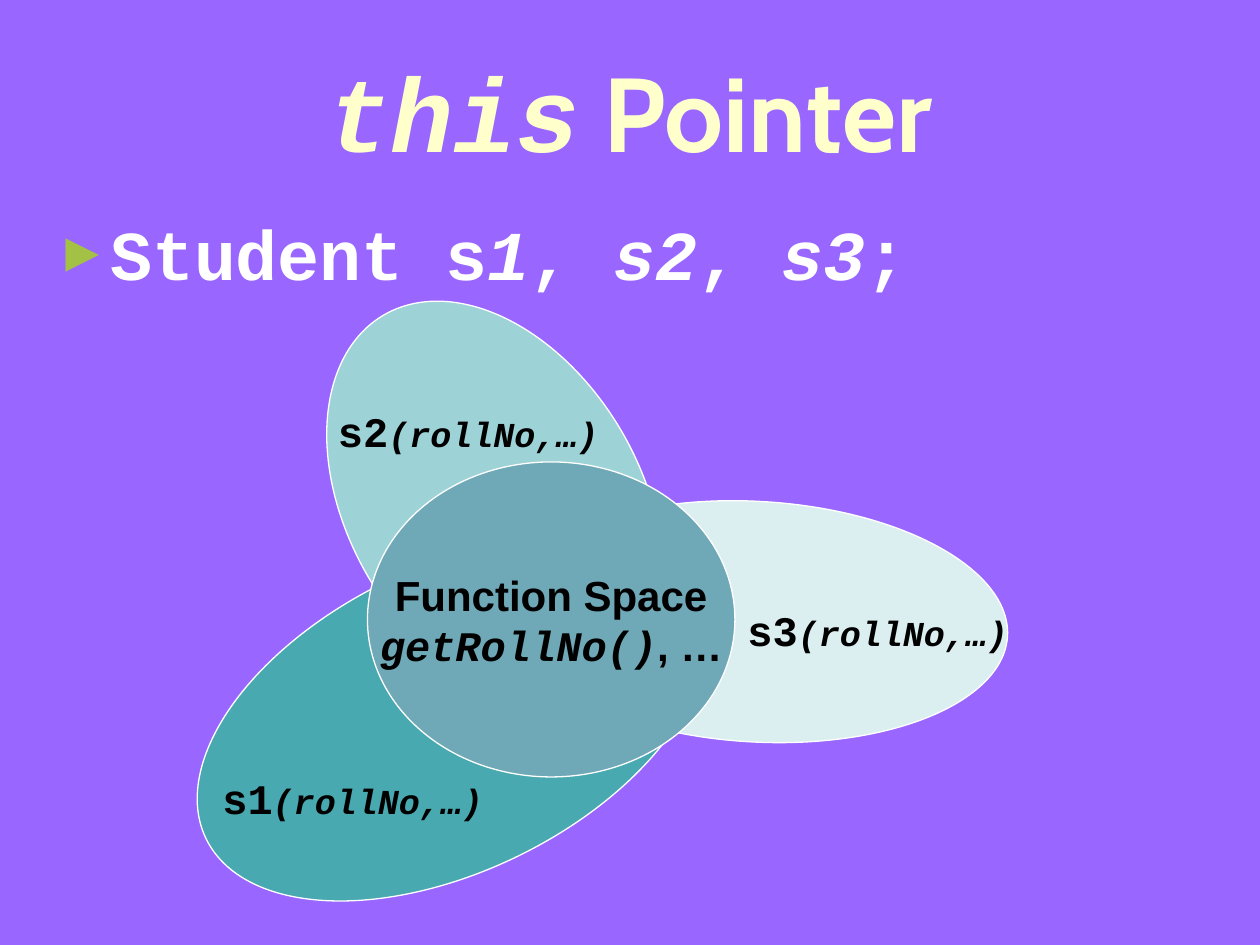
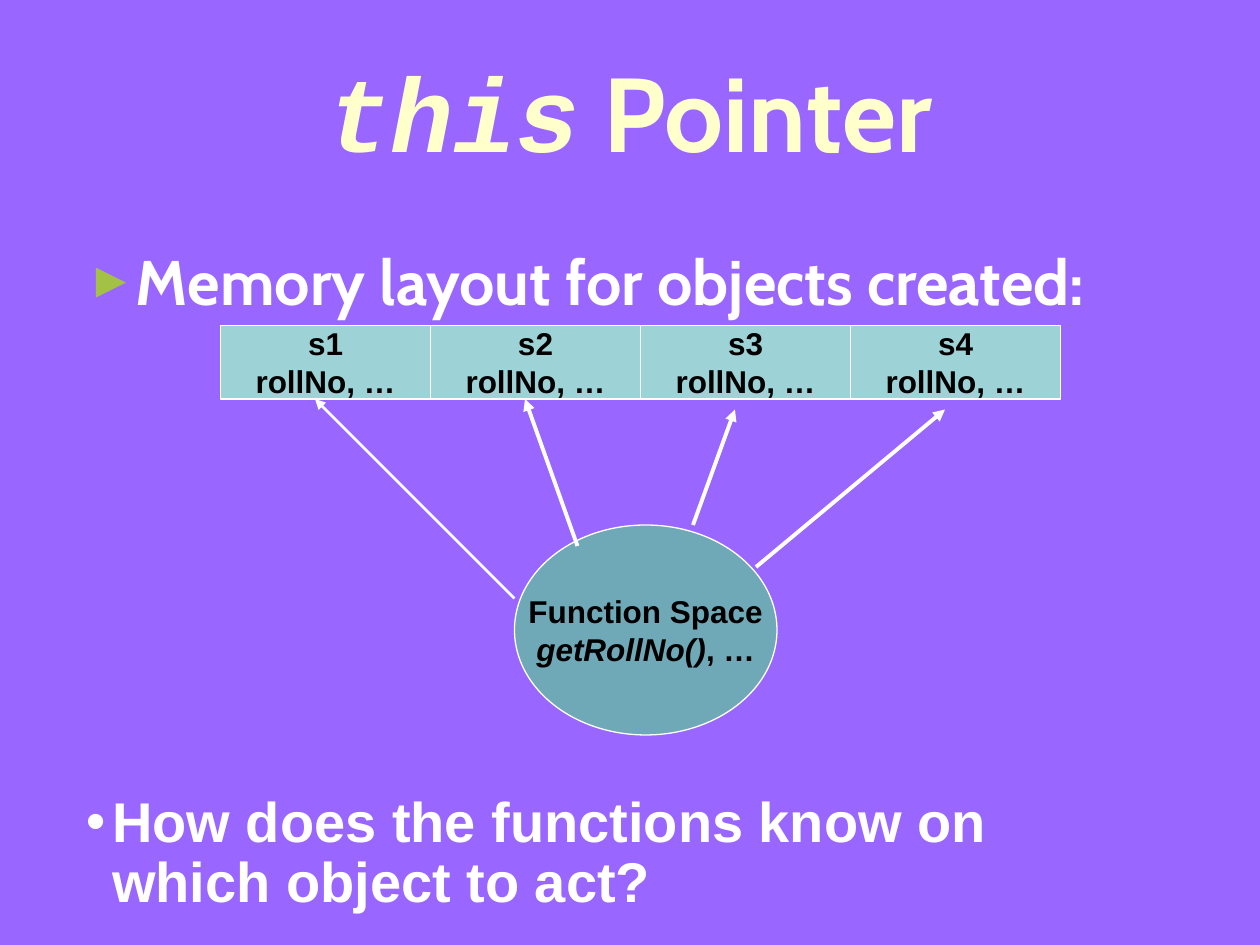
import dataclasses

import lxml.etree
import pptx
import pptx.dml.color
import pptx.enum.shapes
import pptx.enum.text
import pptx.oxml.ns
import pptx.util

Pt = pptx.util.Pt
qn = pptx.oxml.ns.qn
RGBColor = pptx.dml.color.RGBColor
Shapes = pptx.enum.shapes.MSO_SHAPE
Align = pptx.enum.text.PP_ALIGN
Anchor = pptx.enum.text.MSO_ANCHOR


@dataclasses.dataclass(frozen=True)
class Theme:
    # Colours
    background: str = "9966FF"
    title: str = "FFFFCC"
    light: str = "FFFFFF"
    dark: str = "000000"
    bullet: str = "A3C145"
    function_space: str = "6FA9B7"
    s1: str = "48A9B0"
    s2: str = "9DD3D7"
    s3: str = "DCEFF0"
    # Fonts
    display: str = "Cabin"
    code: str = "Courier New"
    sans: str = "Arial"
    # Type sizes
    title_size: int = 60
    code_size: int = 40
    heading_size: int = 36
    question_size: int = 32
    label_size: int = 24
    detail_size: int = 20
    cell_size: int = 18


THEME = Theme()


def write_text(paragraph, text, *, font, size, color, italic=False):
    """Add one bold run to a paragraph."""
    run = paragraph.add_run()
    run.text = text
    run.font.name = font
    run.font.size = Pt(size)
    run.font.bold = True
    run.font.italic = italic
    run.font.color.rgb = RGBColor.from_string(color)


def set_bullet(paragraph, character, color, indent, percent=100):
    """Give a paragraph a hanging bullet."""
    properties = paragraph._p.get_or_add_pPr()
    properties.set("marL", str(Pt(indent)))
    properties.set("indent", str(-Pt(indent)))
    bullet_color = lxml.etree.SubElement(properties, qn("a:buClr"))
    lxml.etree.SubElement(bullet_color, qn("a:srgbClr"), val=color)
    lxml.etree.SubElement(properties, qn("a:buSzPct"), val=str(percent * 1000))
    lxml.etree.SubElement(properties, qn("a:buFont"), typeface=THEME.sans)
    lxml.etree.SubElement(properties, qn("a:buChar"), char=character)


class Deck:
    """Holds the theme and the slide being built."""

    def __init__(self, theme):
        self.theme = theme
        self.presentation = pptx.Presentation()
        self.presentation.slide_width = Pt(720)
        self.presentation.slide_height = Pt(540)
        fill = self.presentation.slide_master.background.fill
        fill.solid()
        fill.fore_color.rgb = RGBColor.from_string(theme.background)
        self.slide = None

    def new_slide(self):
        layout = self.presentation.slide_layouts[1]
        self.slide = self.presentation.slides.add_slide(layout)
        self.title()

    def place(self, shape, box):
        shape.left, shape.top, shape.width, shape.height = map(Pt, box)

    def fill_frame(self, frame, lines, *, wrap=True, anchor=Anchor.TOP,
                   align=Align.LEFT, **text_format):
        """Write lines, each a list of (text, overrides), into a frame."""
        frame.auto_size = pptx.enum.text.MSO_AUTO_SIZE.NONE
        frame.word_wrap = wrap
        frame.vertical_anchor = anchor
        for index, runs in enumerate(lines):
            paragraph = frame.add_paragraph() if index else frame.paragraphs[0]
            paragraph.alignment = align
            paragraph.space_before = Pt(0)
            for text, overrides in runs:
                write_text(paragraph, text, **{**text_format, **overrides})

    def title(self):
        theme, shape = self.theme, self.slide.shapes.title
        self.place(shape, (24, 18, 672, 90))
        runs = [("this", {"font": theme.code, "italic": True}), (" Pointer", {})]
        self.fill_frame(shape.text_frame, [runs], anchor=Anchor.MIDDLE,
                        align=Align.CENTER, font=theme.display,
                        size=theme.title_size, color=theme.title)

    def body(self, box, runs, *, font, size, line_spacing=1.0):
        shape = self.slide.placeholders[1]
        self.place(shape, box)
        paragraph = shape.text_frame.paragraphs[0]
        set_bullet(paragraph, "►", self.theme.bullet, 27, 80)
        self.fill_frame(shape.text_frame, [runs], font=font, size=size,
                        color=self.theme.light)
        paragraph.line_spacing = line_spacing

    def shape(self, kind, box, color, *, rotation=0, lines=(), size=None):
        shape = self.slide.shapes.add_shape(kind, *map(Pt, box))
        shape.rotation = rotation
        shape.shadow.inherit = False
        shape.fill.solid()
        shape.fill.fore_color.rgb = RGBColor.from_string(color)
        shape.line.color.rgb = RGBColor.from_string(self.theme.light)
        shape.line.width = Pt(0.75)
        if lines:
            self.fill_frame(shape.text_frame, lines, wrap=False,
                            anchor=Anchor.MIDDLE, align=Align.CENTER,
                            font=self.theme.sans, size=size,
                            color=self.theme.dark)

    def function_space(self, box, size, code_font):
        lines = [[("Function Space", {})],
                 [("getRollNo()", {"font": code_font, "italic": True}),
                  (", …", {})]]
        self.shape(Shapes.OVAL, box, self.theme.function_space,
                   lines=lines, size=size)

    def text_box(self, box, runs, **text_format):
        shape = self.slide.shapes.add_textbox(*map(Pt, box))
        self.fill_frame(shape.text_frame, [runs], **text_format)
        return shape.text_frame.paragraphs[0]

    def arrow(self, start, end, width):
        connector = self.slide.shapes.add_connector(
            pptx.enum.shapes.MSO_CONNECTOR.STRAIGHT, *map(Pt, start + end))
        connector.line.color.rgb = RGBColor.from_string(self.theme.light)
        connector.line.width = Pt(width)
        properties = connector._element.spPr
        line = properties.find(qn("a:ln"))
        lxml.etree.SubElement(line, qn("a:tailEnd"), type="triangle")
        lxml.etree.SubElement(properties, qn("a:effectLst"))


def build_shared_functions(deck):
    theme = deck.theme
    deck.new_slide()
    italic = {"italic": True}
    declaration = [("Student s", {}), ("1", italic), (", ", {}),
                   ("s2", italic), (", ", {}), ("s3", italic), (";", {})]
    deck.body((24, 126, 672, 354), declaration, font=theme.code,
              size=theme.code_size, line_spacing=0.8)

    # Object petals around the shared function space
    petals = [((288, 286.5, 288, 137.5), 3.3, theme.s3),
              ((102, 324, 312, 174), 334, theme.s1),
              ((157.5, 204.5, 250.5, 167), 59.4, theme.s2)]
    for box, rotation, color in petals:
        deck.shape(Shapes.OVAL, box, color, rotation=rotation)
    deck.function_space((210, 264, 210, 180), theme.label_size, theme.code)

    # Object labels
    labels = [("s1", 120, 438, 186), ("s2", 186, 228, 222),
              ("s3", 420, 342, 222)]
    detail = {"size": theme.detail_size, "italic": True}
    for name, left, top, width in labels:
        deck.text_box((left, top, width, 36),
                      [(name, {}), ("(rollNo,…)", detail)], font=theme.code,
                      size=theme.label_size, color=theme.dark)


def build_memory_layout(deck):
    theme = deck.theme
    deck.new_slide()
    deck.body((42, 135, 648, 356), [("Memory layout for objects created:", {})],
              font=theme.display, size=theme.heading_size)

    # Row of object cells
    cell_width = 120
    for index in range(4):
        lines = [[(f"s{index + 1}", {})], [("rollNo, …", {})]]
        deck.shape(Shapes.RECTANGLE,
                   (126 + index * cell_width, 186, cell_width, 42),
                   theme.s2, lines=lines, size=theme.cell_size)

    # Function space and its arrows to the cells
    deck.function_space((294, 300, 150, 120), theme.cell_size, theme.sans)
    arrows = [((294, 342), (180, 228), 1.5), ((330, 312), (300, 228), 2.25),
              ((396, 300), (420, 234), 2.25), ((432, 324), (540, 234), 2.25)]
    for start, end, width in arrows:
        deck.arrow(start, end, width)

    # Closing question
    question = deck.text_box(
        (42, 450, 624, 85),
        [("How does the functions know on which object to act?", {})],
        font=theme.sans, size=theme.question_size, color=theme.light)
    set_bullet(question, "•", theme.light, 15)
    question.line_spacing = 0.9


def main():
    deck = Deck(THEME)
    build_shared_functions(deck)
    build_memory_layout(deck)
    deck.presentation.save("out.pptx")


if __name__ == "__main__":
    main()
